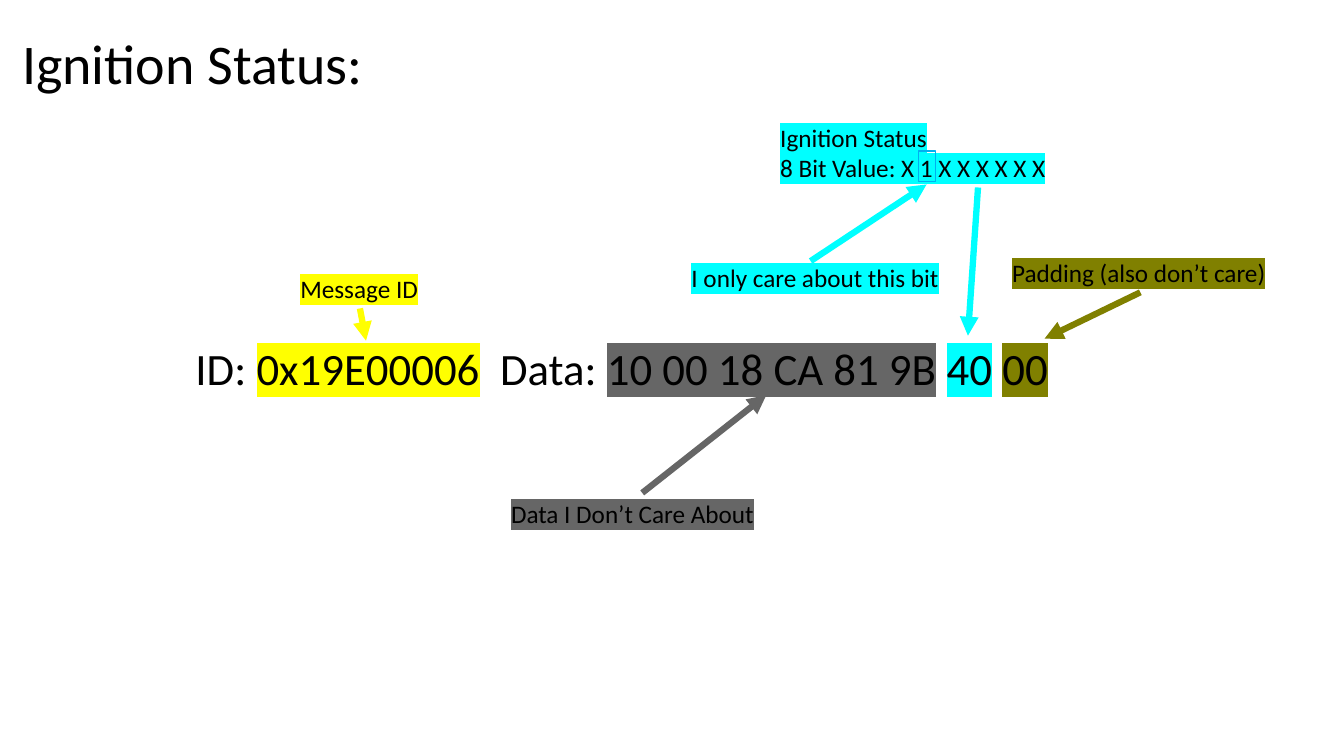
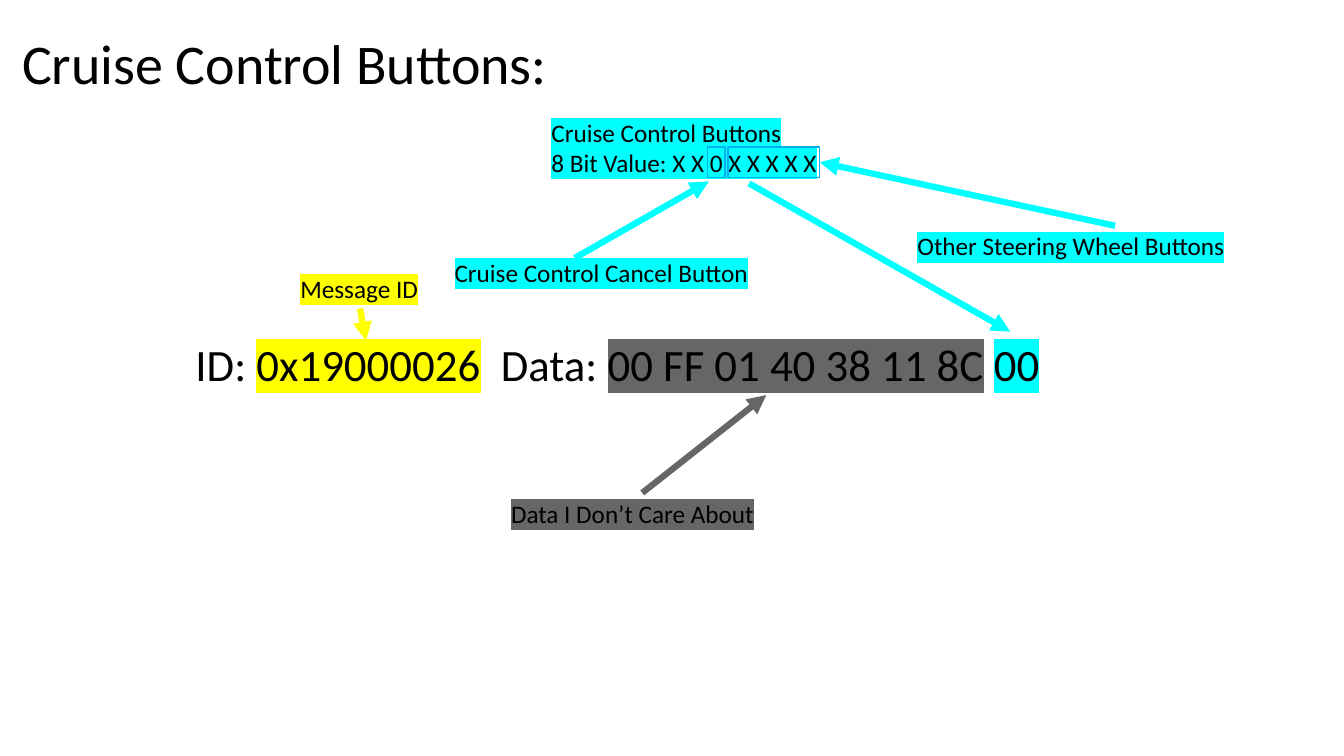
from dataclasses import dataclass
from lxml.etree import SubElement
from pptx import Presentation
from pptx.dml.color import RGBColor
from pptx.enum.shapes import MSO_CONNECTOR, MSO_SHAPE
from pptx.enum.text import MSO_AUTO_SIZE
from pptx.oxml.ns import qn
from pptx.util import Inches, Pt


@dataclass(frozen=True)
class Theme:
    font: str = "Calibri"
    title_size: int = 40
    message_size: int = 32
    label_size: int = 18
    arrow_width: float = 4.5
    frame_width: float = 1
    text: str = "000000"
    identifier: str = "FFFF00"
    ignored: str = "666666"
    signal: str = "00FFFF"
    padding: str = "808000"
    frame: str = "00B0F0"


theme = Theme()

SHARED_LABELS = [
    ("Message ID", (2.88, 2.66, 1.38, 0.4), theme.identifier, False),
    ("Data I Don’t Care About", (4.97, 4.89, 2.81, 0.4), theme.ignored, True),
]
SHARED_ARROWS = [
    ((6.37, 4.89), (7.6, 3.92), theme.ignored),
    ((3.57, 3.06), (3.63, 3.38), theme.identifier),
]
SLIDES = [
    {
        "title": ("Ignition Status:", 3.62),
        "message_place": (1.84, 3.33, 8.75, 0.64),
        "message": [
            ("ID: ", None), ("0x19E00006", theme.identifier), ("  Data: ", None),
            ("10 00 18 CA 81 9B", theme.ignored), (" ", None),
            ("40", theme.signal), (" ", None), ("00", theme.padding),
        ],
        "labels": [
            ("Ignition Status\n8 Bit Value: X 1 X X X X X X",
             (7.64, 1.16, 4.12, 0.71), theme.signal, True),
            ("Padding (also don’t care)", (9.94, 2.5, 2.75, 0.4), theme.padding, False),
            ("I only care about this bit", (6.76, 2.55, 4.12, 0.4), theme.signal, True),
        ],
        "arrows": [
            ((9.7, 1.86), (9.6, 3.33), theme.signal),
            ((11.31, 2.9), (10.36, 3.36), theme.padding),
            ((8.04, 2.59), (9.19, 1.83), theme.signal),
        ],
        "bit_frames": [(9.11, 1.5, 0.17, 0.3)],
    },
    {
        "title": ("Cruise Control Buttons:", 5.48),
        "message_place": (1.84, 3.29, 8.66, 0.64),
        "message": [
            ("ID: ", None), ("0x19000026", theme.identifier), ("  Data: ", None),
            ("00 FF 01 40 38 11 8C", theme.ignored), (" ", None), ("00", theme.signal),
        ],
        "labels": [
            ("Cruise Control Buttons\n8 Bit Value: X X 0 X X X X X",
             (5.37, 1.11, 4.12, 0.71), theme.signal, True),
            ("Cruise Control Cancel Button", (4.41, 2.5, 4.12, 0.4), theme.signal, True),
            ("Other Steering Wheel Buttons", (9, 2.24, 4.12, 0.4), theme.signal, True),
        ],
        "arrows": [
            ((7.43, 1.82), (10.02, 3.29), theme.signal),
            ((5.7, 2.56), (7.03, 1.8), theme.signal),
            ((11.06, 2.24), (8.13, 1.61), theme.signal),
        ],
        "bit_frames": [(7.02, 1.46, 0.17, 0.3), (7.22, 1.46, 0.91, 0.3)],
    },
]


def inches(values):
    return [Inches(value) for value in values]


def format_span(span, size, highlight=None):
    span.font.size = Pt(size)
    span.font.name = theme.font
    span.font.color.rgb = RGBColor.from_string(theme.text)
    if highlight:
        properties = span._r.get_or_add_rPr()
        marker = SubElement(properties, qn("a:highlight"))
        SubElement(marker, qn("a:srgbClr"), val=highlight)
        properties.find(qn("a:latin")).addprevious(marker)


def add_box(page, place, wrap=False):
    box = page.shapes.add_textbox(*inches(place))
    box.text_frame.word_wrap = wrap
    box.text_frame.auto_size = MSO_AUTO_SIZE.SHAPE_TO_FIT_TEXT
    return box.text_frame


def add_label(page, text, place, highlight, wrap, size=theme.label_size):
    frame = add_box(page, place, wrap)
    frame.text = text
    for paragraph in frame.paragraphs:
        for span in paragraph.runs:
            format_span(span, size, highlight)


def add_message(page, place, parts):
    paragraph = add_box(page, place).paragraphs[0]
    for text, highlight in parts:
        span = paragraph.add_run()
        span.text = text
        format_span(span, theme.message_size, highlight)


def add_arrow(page, start, end, color):
    arrow = page.shapes.add_connector(MSO_CONNECTOR.STRAIGHT, *inches(start + end))
    arrow.line.color.rgb = RGBColor.from_string(color)
    arrow.line.width = Pt(theme.arrow_width)
    SubElement(arrow.line._get_or_add_ln(), qn("a:tailEnd"), type="triangle")
    SubElement(arrow._element.spPr, qn("a:effectLst"))


def add_bit_frame(page, place):
    outline = page.shapes.add_shape(MSO_SHAPE.RECTANGLE, *inches(place))
    outline.shadow.inherit = False
    outline.fill.background()
    outline.line.color.rgb = RGBColor.from_string(theme.frame)
    outline.line.width = Pt(theme.frame_width)


deck = Presentation()
deck.slide_width, deck.slide_height = inches((13.33, 7.5))
for content in SLIDES:
    page = deck.slides.add_slide(deck.slide_layouts[6])
    title, title_width = content["title"]
    add_label(page, title, (0.12, 0.23, title_width, 0.77), None, False, theme.title_size)
    add_message(page, content["message_place"], content["message"])
    for label in SHARED_LABELS + content["labels"]:
        add_label(page, *label)
    for arrow in SHARED_ARROWS + content["arrows"]:
        add_arrow(page, *arrow)
    for place in content["bit_frames"]:
        add_bit_frame(page, place)

deck.save("out.pptx")
